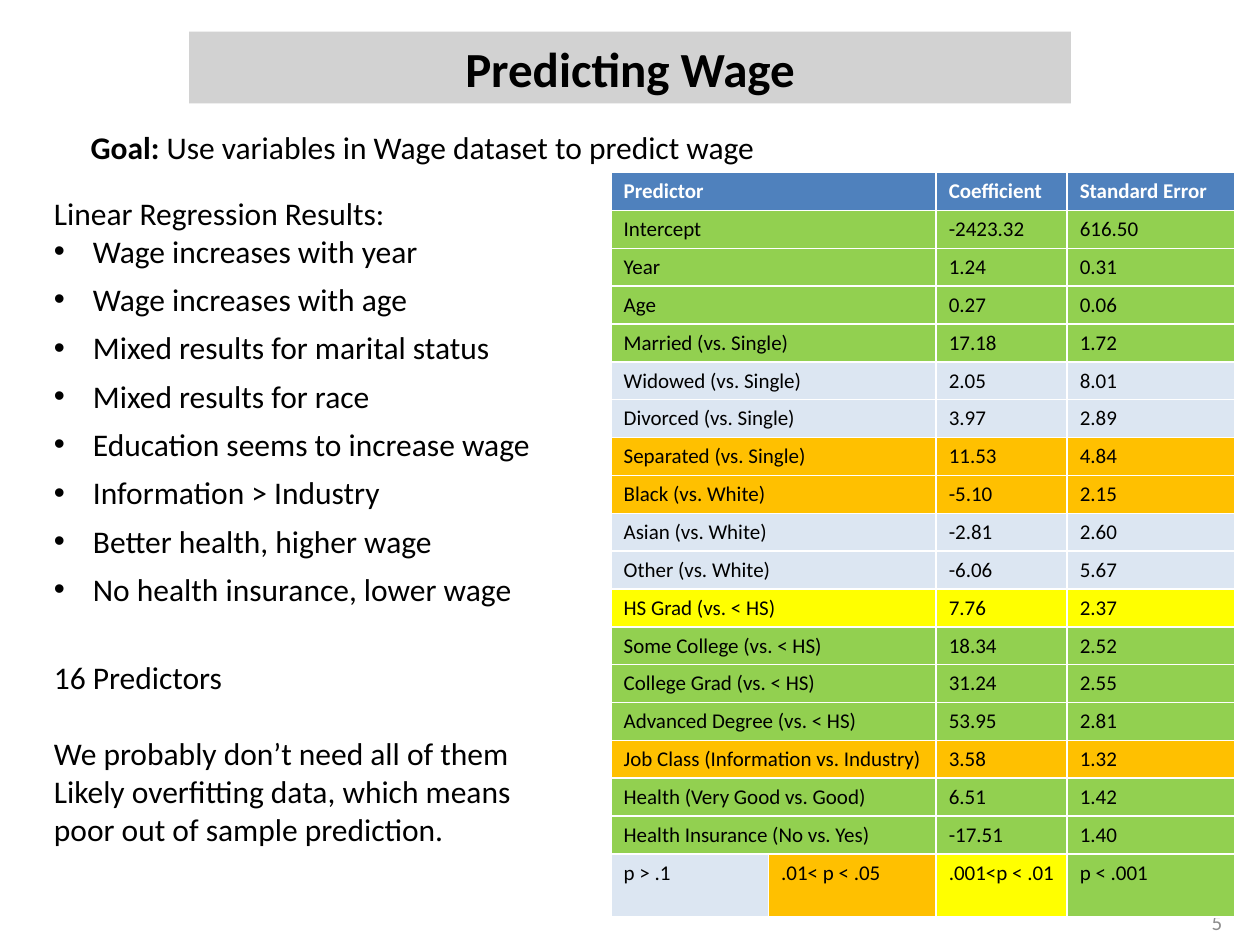
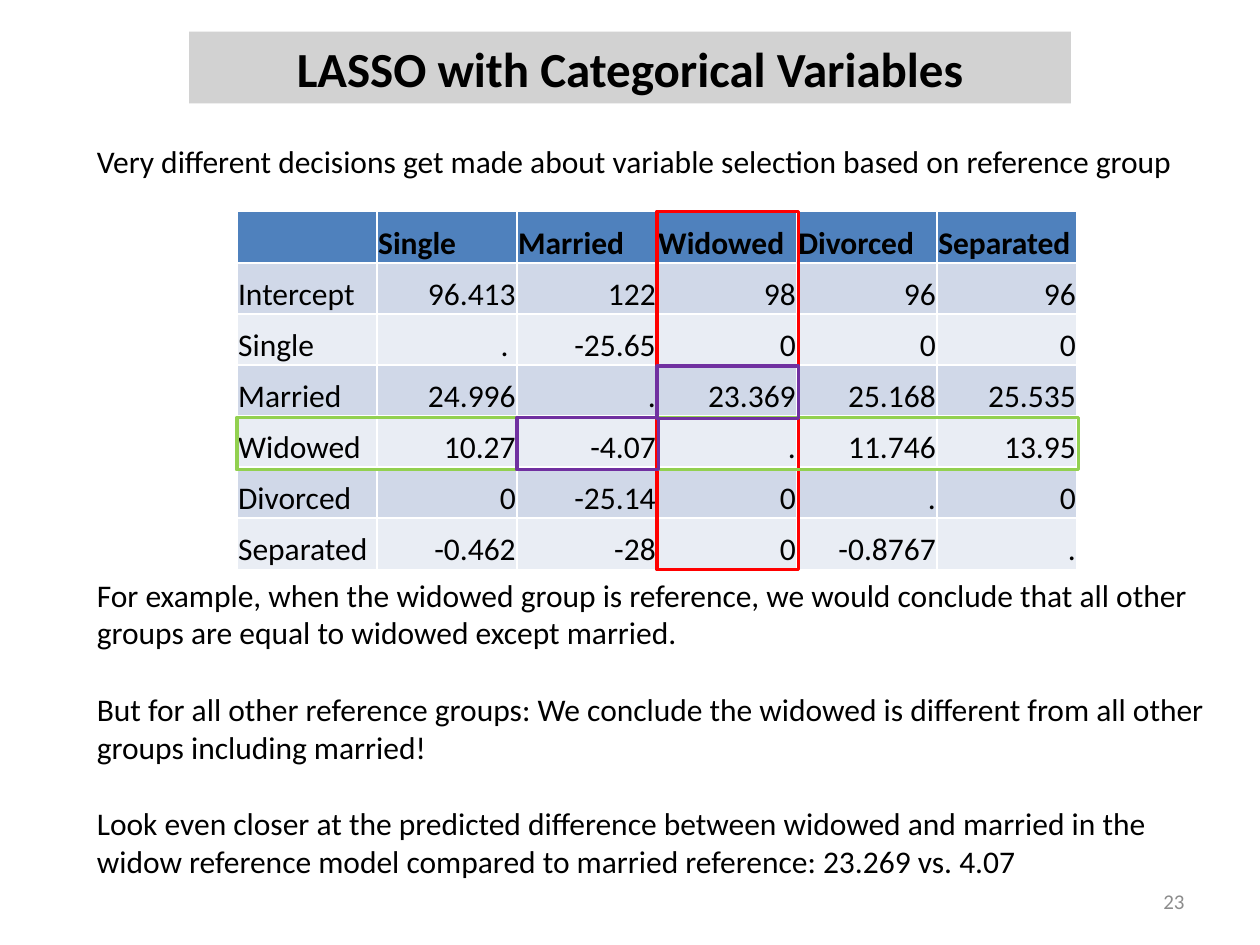
from lxml import etree
from pptx import Presentation
from pptx.dml.color import RGBColor
from pptx.enum.shapes import MSO_SHAPE
from pptx.enum.text import MSO_ANCHOR, MSO_AUTO_SIZE, PP_ALIGN
from pptx.oxml.ns import qn
from pptx.util import Inches, Pt

RECT = MSO_SHAPE.RECTANGLE
TOP, MIDDLE, BOTTOM = MSO_ANCHOR.TOP, MSO_ANCHOR.MIDDLE, MSO_ANCHOR.BOTTOM
FIXED = MSO_AUTO_SIZE.NONE
LEFT, CENTER, RIGHT = PP_ALIGN.LEFT, PP_ALIGN.CENTER, PP_ALIGN.RIGHT

FONT = "Calibri"
COLORS = {
    "black": "000000", "white": "FFFFFF", "band": "BFBFBF", "gray": "8C8C8C",
    "head": "4F81BD", "pale": "DCE6F2", "odd": "D0D8E8", "even": "E9EDF4",
    "green": "92D050", "orange": "FFC000", "yellow": "FFFF00",
    "red": "FF0000", "purple": "7030A0",
}
RGB = {name: RGBColor.from_string(code) for name, code in COLORS.items()}


def write(frame, text, lead="", size=18, color="black", bold=False,
          align=LEFT, before=0, after=0, bullet=False):
    para = frame.paragraphs[0]
    if para.runs:
        para = frame.add_paragraph()
    para.alignment = align
    para.space_before, para.space_after = Pt(before), Pt(after)
    if bullet:
        props = para._p.get_or_add_pPr()
        props.set("marL", str(Inches(0.31)))
        props.set("indent", str(-Inches(0.31)))
        etree.SubElement(props, qn("a:buFont")).set("typeface", "Arial")
        etree.SubElement(props, qn("a:buChar")).set("char", "•")
    for part, heavy in ((lead, True), (text, bold)):
        if part:
            run = para.add_run()
            run.text = part
            run.font.name, run.font.size = FONT, Pt(size)
            run.font.bold = heavy
            run.font.color.rgb = RGB[color]


def box(slide, left, top, width, height, anchor=TOP):
    frame = slide.shapes.add_textbox(
        Inches(left), Inches(top), Inches(width), Inches(height)).text_frame
    frame.word_wrap = True
    frame.vertical_anchor = anchor
    return frame


deck = Presentation()
deck.slide_width, deck.slide_height = Inches(10), Inches(7.5)

slides = []
for name, number, left, top in (
        ("Predicting Wage", "5", 7.47, 7.12),
        ("LASSO with Categorical Variables", "23", 7.17, 6.95)):
    slide = deck.slides.add_slide(deck.slide_layouts[5])
    title = slide.shapes.title
    title.left, title.top = Inches(1.5), Inches(0.25)
    title.width, title.height = Inches(7), Inches(0.57)
    title.fill.solid()
    title.fill.fore_color.rgb = RGB["band"]
    tint = title._element.spPr.find(".//" + qn("a:srgbClr"))
    etree.SubElement(tint, qn("a:alpha")).set("val", "70000")
    title.text_frame.auto_size = FIXED
    title.text_frame.vertical_anchor = MIDDLE
    write(title.text_frame, name, size=28, bold=True, align=CENTER)
    write(box(slide, left, top, 2.33, 0.4, MIDDLE), number,
          size=12, color="gray", align=RIGHT)
    slides.append(slide)
wage, lasso = slides

write(box(wage, 0.62, 0.97, 8.75, 0.4),
      "Use variables in Wage dataset to predict wage", lead="Goal: ")

rows = [
    ("head", "Predictor", "Coefficient", "Standard Error"),
    ("green", "Intercept", "-2423.32", "616.50"),
    ("green", "Year", "1.24", "0.31"),
    ("green", "Age", "0.27", "0.06"),
    ("green", "Married (vs. Single)", "17.18", "1.72"),
    ("pale", "Widowed (vs. Single)", "2.05", "8.01"),
    ("pale", "Divorced (vs. Single)", "3.97", "2.89"),
    ("orange", "Separated (vs. Single)", "11.53", "4.84"),
    ("orange", "Black (vs. White)", "-5.10", "2.15"),
    ("pale", "Asian (vs. White)", "-2.81", "2.60"),
    ("pale", "Other (vs. White)", "-6.06", "5.67"),
    ("yellow", "HS Grad (vs. < HS)", "7.76", "2.37"),
    ("green", "Some College (vs. < HS)", "18.34", "2.52"),
    ("green", "College Grad (vs. < HS)", "31.24", "2.55"),
    ("green", "Advanced Degree (vs. < HS)", "53.95", "2.81"),
    ("orange", "Job Class (Information vs. Industry)", "3.58", "1.32"),
    ("green", "Health (Very Good vs. Good)", "6.51", "1.42"),
    ("green", "Health Insurance (No vs. Yes)", "-17.51", "1.40"),
]
legend = [("pale", "p > .1"), ("orange", ".01< p < .05"),
          ("yellow", ".001<p < .01"), ("green", "p < .001")]

last = len(rows)
grid = wage.shapes.add_table(last + 1, 4, Inches(4.85), Inches(1.37),
                             Inches(4.95), Inches(5.9)).table
for column, width in zip(grid.columns, (1.25, 1.33, 1.04, 1.33)):
    column.width = Inches(width)
for line in grid.rows:
    line.height = Inches(0.3)
grid.rows[last].height = Inches(0.5)

cells = [(last, col, tone, text) for col, (tone, text) in enumerate(legend)]
for row, (tone, *texts) in enumerate(rows):
    grid.cell(row, 0).merge(grid.cell(row, 1))
    cells += [(row, col, tone, text) for col, text in zip((0, 2, 3), texts)]
for row, col, tone, text in cells:
    cell = grid.cell(row, col)
    cell.fill.solid()
    cell.fill.fore_color.rgb = RGB[tone]
    write(cell.text_frame, text, size=12, bold=row == 0,
          color="black" if row else "white")

notes = box(wage, 0.33, 1.49, 4.17, 3.42)
write(notes, "Linear Regression Results:")
for text in (
        "Wage increases with year",
        "Wage increases with age",
        "Mixed results for marital status",
        "Mixed results for race",
        "Education seems to increase wage",
        "Information > Industry",
        "Better health, higher wage",
        "No health insurance, lower wage"):
    write(notes, text, bullet=True, after=6)

close = box(wage, 0.33, 5.17, 4.17, 1.62)
write(close, "16 Predictors")
write(close, "We probably don’t need all of them", before=22)
write(close, "Likely overfitting data, which means poor out of sample prediction.")

write(box(lasso, 0.67, 1.08, 9.08, 0.4),
      "Very different decisions get made about variable selection "
      "based on reference group")

groups = [
    ("", "Single", "Married", "Widowed", "Divorced", "Separated"),
    ("Intercept", "96.413", "122", "98", "96", "96"),
    ("Single", ". ", "-25.65", "0", "0", "0"),
    ("Married", "24.996", ".", "23.369", "25.168", "25.535"),
    ("Widowed", "10.27", "-4.07", ".", "11.746", "13.95"),
    ("Divorced", "0", "-25.14", "0", ".", "0"),
    ("Separated", "-0.462", "-28", "0", "-0.8767", "."),
]
x, y, wide, high = 1.88, 1.68, 6.67 / 6, 2.84 / 7
grid = lasso.shapes.add_table(7, 6, Inches(x), Inches(y),
                              Inches(6 * wide), Inches(7 * high)).table
for row, texts in enumerate(groups):
    tone = "head" if row == 0 else "odd" if row % 2 else "even"
    for col, text in enumerate(texts):
        cell = grid.cell(row, col)
        cell.fill.solid()
        cell.fill.fore_color.rgb = RGB[tone]
        cell.vertical_anchor = BOTTOM
        cell.margin_left = cell.margin_right = cell.margin_top = Inches(0.01)
        cell.margin_bottom = 0
        write(cell.text_frame, text, bold=row == 0,
              align=RIGHT if row and col else LEFT)

talk = box(lasso, 0.67, 4.52, 9.08, 2.6)
for index, text in enumerate((
        "For example, when the widowed group is reference, we would conclude "
        "that all other groups are equal to widowed except married.",
        "But for all other reference groups: We conclude the widowed is "
        "different from all other groups including married!",
        "Look even closer at the predicted difference between widowed and "
        "married in the widow reference model compared to married reference: "
        "23.269 vs. 4.07")):
    write(talk, text, before=22 if index else 0)

for tone, col, row, across, down in (
        ("red", 3, 0, 1, 7), ("green", 0, 4, 6, 1),
        ("purple", 3, 3, 1, 1), ("purple", 2, 4, 1, 1)):
    mark = lasso.shapes.add_shape(
        RECT, Inches(x + col * wide), Inches(y + row * high + 0.01 * (row > 0)),
        Inches(across * wide + 0.01), Inches(down * high + 0.01 * (row > 0)))
    mark.shadow.inherit = False
    mark.fill.background()
    mark.line.color.rgb = RGB[tone]
    mark.line.width = Pt(2)

deck.save("out.pptx")
